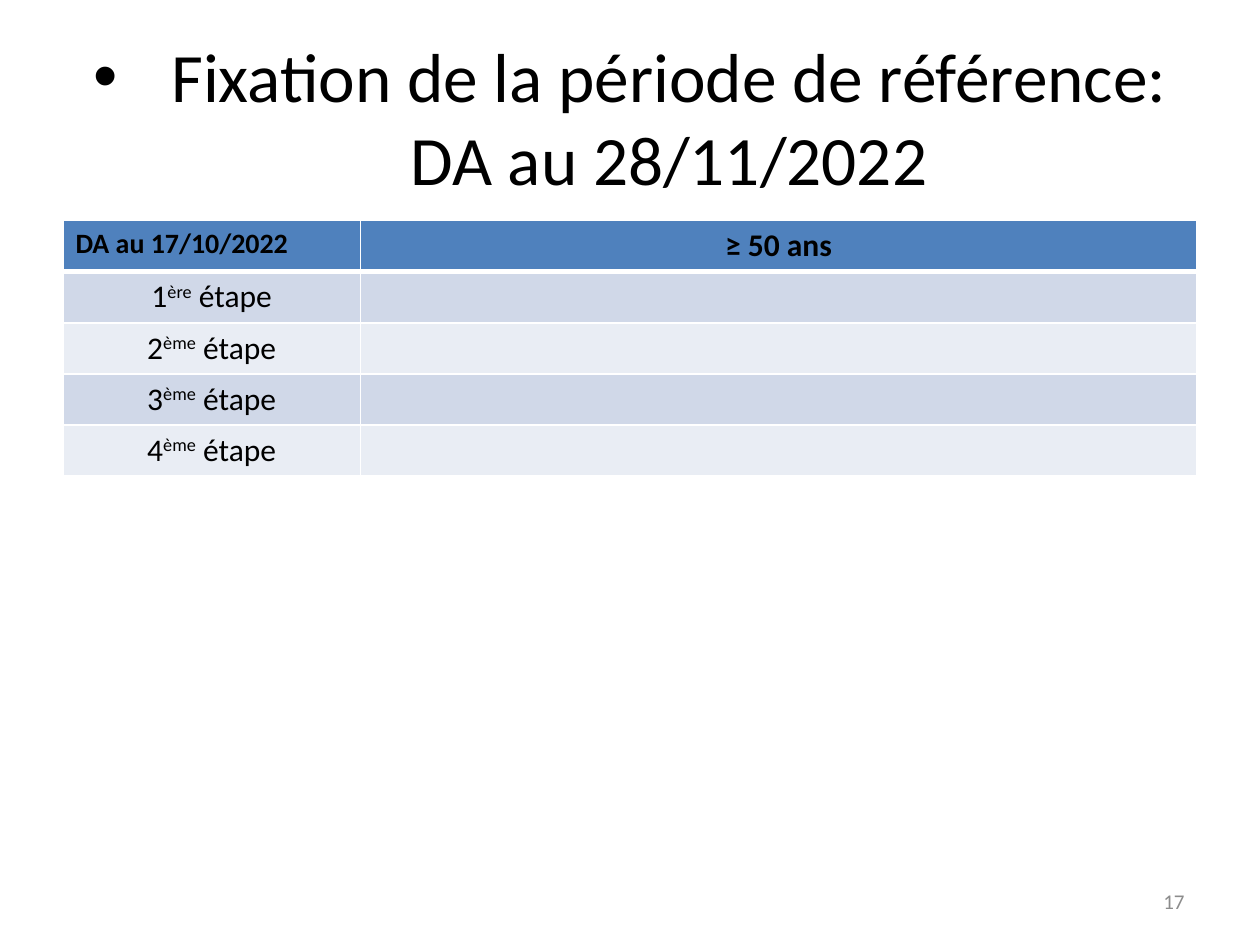
from dataclasses import dataclass

from lxml.etree import SubElement
from pptx import Presentation
from pptx.dml.color import RGBColor
from pptx.enum.text import MSO_ANCHOR as ANCHOR, PP_ALIGN as ALIGN
from pptx.oxml.ns import qn
from pptx.util import Inches, Pt


@dataclass(frozen=True)
class Theme:
    font: str = "Calibri"
    ink: str = "000000"
    muted: str = "8C8C8C"
    border: str = "FFFFFF"
    header: str = "4F81BD"
    bands: tuple = ("D0D8E8", "E9EDF4")
    title: float = 39.6
    body: float = 18
    label: float = 16
    small: float = 12


THEME = Theme()
STEPS = [("1", "ère"), ("2", "ème"), ("3", "ème"), ("4", "ème")]


def add_run(p, text, size, color=THEME.ink, bold=False, raised=False):
    r = p.add_run()
    r.text = text
    r.font.name = THEME.font
    r.font.size = Pt(size)
    r.font.bold = bold
    r.font.color.rgb = RGBColor.from_string(color)
    if raised:
        r._r.get_or_add_rPr().set("baseline", "30000")


def add_text_box(slide, box, align):
    tf = slide.shapes.add_textbox(*map(Inches, box)).text_frame
    tf.word_wrap = True
    tf.vertical_anchor = ANCHOR.MIDDLE
    p = tf.paragraphs[0]
    p.alignment = align
    return p


def add_title(slide, box):
    p = add_text_box(slide, box, ALIGN.CENTER)
    pPr = p._p.get_or_add_pPr()
    pPr.set("marL", str(Inches(0.62)))
    pPr.set("indent", str(-Inches(0.62)))
    SubElement(pPr, qn("a:buFont"), typeface="Arial")
    SubElement(pPr, qn("a:buChar"), char="•")
    add_run(p, "Fixation de la période de référence: DA au 28/11/2022", THEME.title)


def add_page_number(slide, box):
    p = add_text_box(slide, box, ALIGN.RIGHT)
    add_run(p, "17", THEME.small, THEME.muted)


def style_cell(cell, fill, top=1, bottom=1):
    tcPr = cell._tc.get_or_add_tcPr()
    for side, width in (("L", 1), ("R", 1), ("T", top), ("B", bottom)):
        ln = SubElement(tcPr, qn(f"a:ln{side}"), w=str(Pt(width)))
        SubElement(SubElement(ln, qn("a:solidFill")), qn("a:srgbClr"), val=THEME.border)
    cell.fill.solid()
    cell.fill.fore_color.rgb = RGBColor.from_string(fill)


def add_steps_table(slide, box):
    left, top, width, height = map(Inches, box)
    rows = len(STEPS) + 1
    table = slide.shapes.add_table(rows, 2, left, top, width, height).table
    table.columns[0].width = Inches(2.36)
    table.columns[1].width = width - Inches(2.36)

    for cell in table.rows[0].cells:
        style_cell(cell, THEME.header, bottom=3)
    add_run(table.cell(0, 0).text_frame.paragraphs[0], "DA au 17/10/2022", THEME.label, bold=True)
    p = table.cell(0, 1).text_frame.paragraphs[0]
    p.alignment = ALIGN.CENTER
    add_run(p, "≥ 50 ans", THEME.body, bold=True)

    for i, (number, suffix) in enumerate(STEPS, start=1):
        for cell in table.rows[i].cells:
            style_cell(cell, THEME.bands[(i - 1) % 2], top=3 if i == 1 else 1)
        p = table.cell(i, 0).text_frame.paragraphs[0]
        p.alignment = ALIGN.CENTER
        add_run(p, number, THEME.body)
        add_run(p, suffix, THEME.body, raised=True)
        add_run(p, " étape", THEME.body)


def main():
    prs = Presentation()
    prs.slide_width, prs.slide_height = Inches(10), Inches(7.5)
    slide = prs.slides.add_slide(prs.slide_layouts[6])
    add_title(slide, (0.5, 0.3, 9, 1.25))
    add_page_number(slide, (7.17, 6.95, 2.33, 0.4))
    add_steps_table(slide, (0.5, 1.75, 9, 2.03))
    prs.save("out.pptx")


if __name__ == "__main__":
    main()
